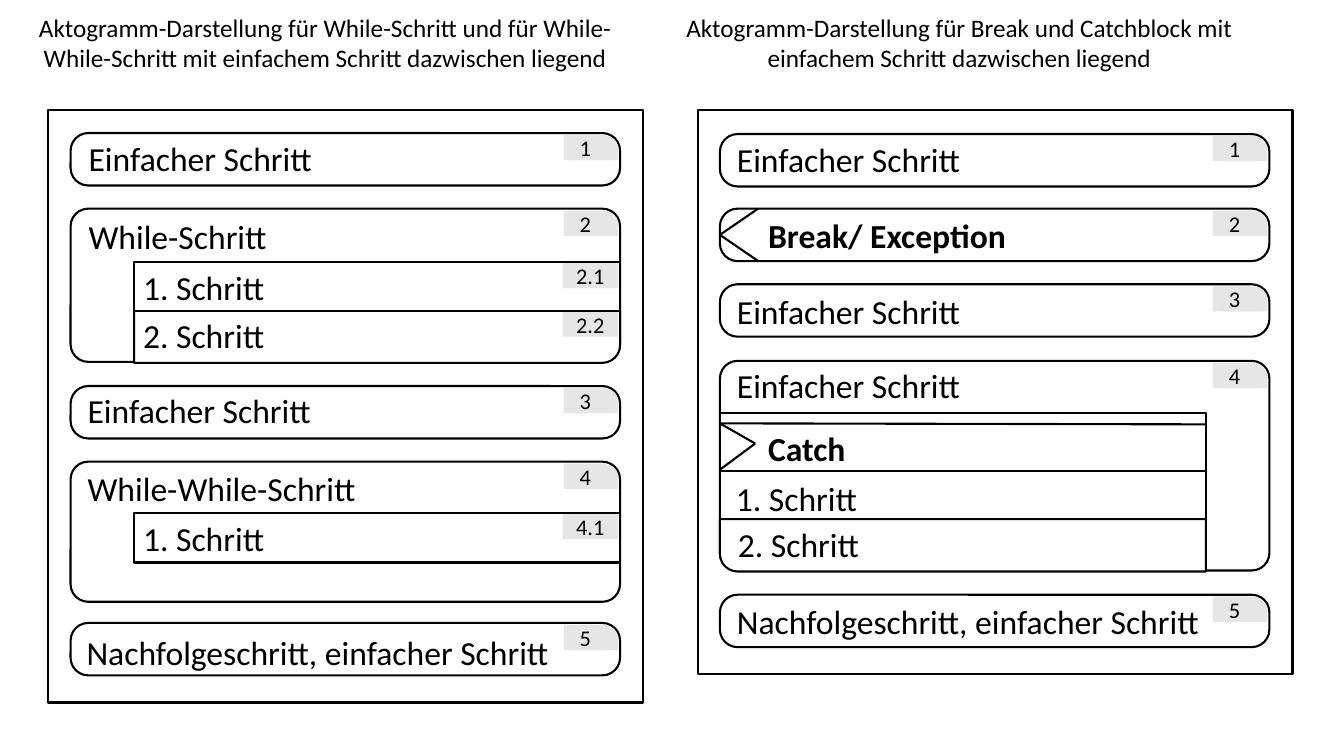
from lxml import etree
from pptx import Presentation, util as u
from pptx.dml.color import RGBColor
from pptx.enum import shapes, text
from pptx.oxml.ns import qn

COLOURS = {"ink": "000000", "paper": "FFFFFF", "tag": "E7E6E6"}
KIND = shapes.MSO_SHAPE
TOP, MIDDLE = text.MSO_ANCHOR.TOP, text.MSO_ANCHOR.MIDDLE
LEFT, CENTER = text.PP_ALIGN.LEFT, text.PP_ALIGN.CENTER
LINE_WIDTH = u.Pt(1.5)
STEP_INDENT, STEP_WIDTH, STEP_HEIGHT = 0.22, 5.45, 0.52
NESTED_INDENT, NESTED_WIDTH = 0.85, 4.82
CORNER = 0.175


def add_box(kind, left, top, width, height, fill="paper", outlined=True):
    box = page.shapes.add_shape(kind, *map(u.Inches, (left, top, width, height)))
    box.shadow.inherit = False
    box.fill.solid()
    box.fill.fore_color.rgb = RGBColor.from_string(COLOURS[fill])
    if outlined:
        box.line.color.rgb = RGBColor.from_string(COLOURS["ink"])
        box.line.width = LINE_WIDTH
    else:
        box.line.fill.background()
    return box


def write(box, words, size, align=LEFT, anchor=TOP, bold=False, side=0.1):
    """Put one paragraph into a shape; side is the left and right inset."""
    frame = box.text_frame
    frame_format = {
        "word_wrap": True, "auto_size": text.MSO_AUTO_SIZE.NONE,
        "vertical_anchor": anchor,
        "margin_left": u.Inches(side), "margin_right": u.Inches(side),
        "margin_top": u.Inches(0.05), "margin_bottom": u.Inches(0.05),
    }
    for name, value in frame_format.items():
        setattr(frame, name, value)
    para = frame.paragraphs[0]
    para.alignment = align
    para.space_before = u.Pt(0)
    span = para.add_run()
    span.text = words
    for name, value in {"name": "Calibri", "size": u.Pt(size), "bold": bold}.items():
        setattr(span.font, name, value)
    span.font.color.rgb = RGBColor.from_string(COLOURS["ink"])


deck = Presentation()
deck.slide_width, deck.slide_height = u.Inches(13.33), u.Inches(7.5)
page = deck.slides.add_slide(deck.slide_layouts[0])

headings = [
    (0.08, "Aktogramm-Darstellung für While-Schritt und für While-While-Schritt "
           "mit einfachem Schritt dazwischen liegend"),
    (6.37, "Aktogramm-Darstellung für Break und Catchblock "
           "mit einfachem Schritt dazwischen liegend"),
]
for holder, (left, words) in zip(page.placeholders, headings):
    holder.left, holder.top = u.Inches(left), u.Inches(0.07)
    holder.width, holder.height = u.Inches(6.29), u.Inches(0.71)
    write(holder, words, 18, align=CENTER)

# Steps: top, height, number, caption, caption offset (across, down), bold
# Nested rows: kind, flips, indent, top, height, number, caption, offset, bold
panels = [
    {
        "left": 0.48, "height": 5.88,
        "steps": [
            (1.32, STEP_HEIGHT, "1", "Einfacher Schritt", (0.08, 0), False),
            (2.07, 1.52, "2", "While-Schritt", (0.08, 0.02), False),
            (3.83, STEP_HEIGHT, "3", "Einfacher Schritt", (0.07, -0.01), False),
            (4.58, 1.39, "4", "While-While-Schritt", (0.07, 0.01), False),
            (6.18, STEP_HEIGHT, "5", "Nachfolgeschritt, einfacher Schritt",
             (0.06, 0.04), False),
        ],
        "nested": [
            (KIND.ROUND_1_RECTANGLE, ["flipV"], NESTED_INDENT, 3.08, 0.52,
             "2.2", "2. Schritt", (-0.01, 0), False),
            (KIND.RECTANGLE, [], NESTED_INDENT, 2.6, 0.49,
             "2.1", "1. Schritt", (-0.01, 0), False),
            (KIND.RECTANGLE, [], NESTED_INDENT, 5.09, 0.49,
             "4.1", "1. Schritt", (-0.01, 0), False),
        ],
    },
    {
        "left": 6.92, "height": 5.6,
        "steps": [
            (1.33, STEP_HEIGHT, "1", "Einfacher Schritt", (0.07, 0), False),
            (2.07, STEP_HEIGHT, "2", "Break/ Exception", (0.38, 0.01), True),
            (2.82, STEP_HEIGHT, "3", "Einfacher Schritt", (0.07, 0.02), False),
            (3.58, 2.08, "4", "Einfacher Schritt", (0.07, -0.01), False),
            (5.9, STEP_HEIGHT, "5", "Nachfolgeschritt, einfacher Schritt",
             (0.07, 0.01), False),
        ],
        "nested": [
            (KIND.RECTANGLE, [], STEP_INDENT, 4.1, 0.57,
             None, "Catch", (0.38, 0.1), True),
            (KIND.RECTANGLE, [], STEP_INDENT, 4.67, 0.49,
             None, "1. Schritt", (0.06, 0.02), False),
            (KIND.ROUND_1_RECTANGLE, ["flipH", "flipV"], STEP_INDENT, 5.15, 0.52,
             None, "2. Schritt", (0.08, 0), False),
        ],
    },
]

for panel in panels:
    edge = panel["left"]
    add_box(KIND.RECTANGLE, edge, 1.09, 5.9, panel["height"])
    captions = []

    for top, height, number, words, (across, down), bold in panel["steps"]:
        left = edge + STEP_INDENT
        step = add_box(KIND.ROUNDED_RECTANGLE, left, top, STEP_WIDTH, height)
        step.adjustments[0] = CORNER / height
        corner = add_box(KIND.ROUND_2_SAME_RECTANGLE, edge + 5.18, top + 0.03,
                         0.47, 0.24, "tag", False)
        corner.adjustments[0] = 0.5
        tag = add_box(KIND.RECTANGLE, edge + 5.11, top + 0.02, 0.43, 0.25, "tag", False)
        write(tag, number, 16, CENTER, MIDDLE, side=0.04)
        captions.append((left + across, top + down, words, bold))

    for kind, flips, indent, top, height, number, words, (across, down), bold in panel["nested"]:
        left = edge + indent
        row = add_box(kind, left, top, NESTED_WIDTH, height)
        if kind == KIND.ROUND_1_RECTANGLE:
            row.adjustments[0] = CORNER / height
        for flip in flips:
            row._element.spPr.find(qn("a:xfrm")).set(flip, "1")
        if number:
            tag = add_box(KIND.RECTANGLE, edge + 5.1, top + 0.01, 0.55, 0.25, "tag", False)
            write(tag, number, 16, CENTER, MIDDLE, side=0.04)
        captions.append((left + across, top + down, words, bold))

    for left, top, words, bold in captions:
        caption = page.shapes.add_textbox(*map(u.Inches, (left, top, 4.82, 0.5)))
        write(caption, words, 24, bold=bold)

marker_lines = [
    (7.52, 2.07, 7.14, 2.33),   # break arrow
    (7.52, 2.59, 7.14, 2.33),
    (11.96, 4.21, 7.14, 4.2),   # catch bar
    (7.49, 4.4, 7.14, 4.66),    # catch arrow
    (7.49, 4.4, 7.14, 4.2),
]
for ends in marker_lines:
    line = page.shapes.add_connector(shapes.MSO_CONNECTOR.STRAIGHT, *map(u.Inches, ends))
    line.line.color.rgb = RGBColor.from_string(COLOURS["ink"])
    line.line.width = LINE_WIDTH
    etree.SubElement(line._element.spPr, qn("a:effectLst"))

deck.save("out.pptx")
